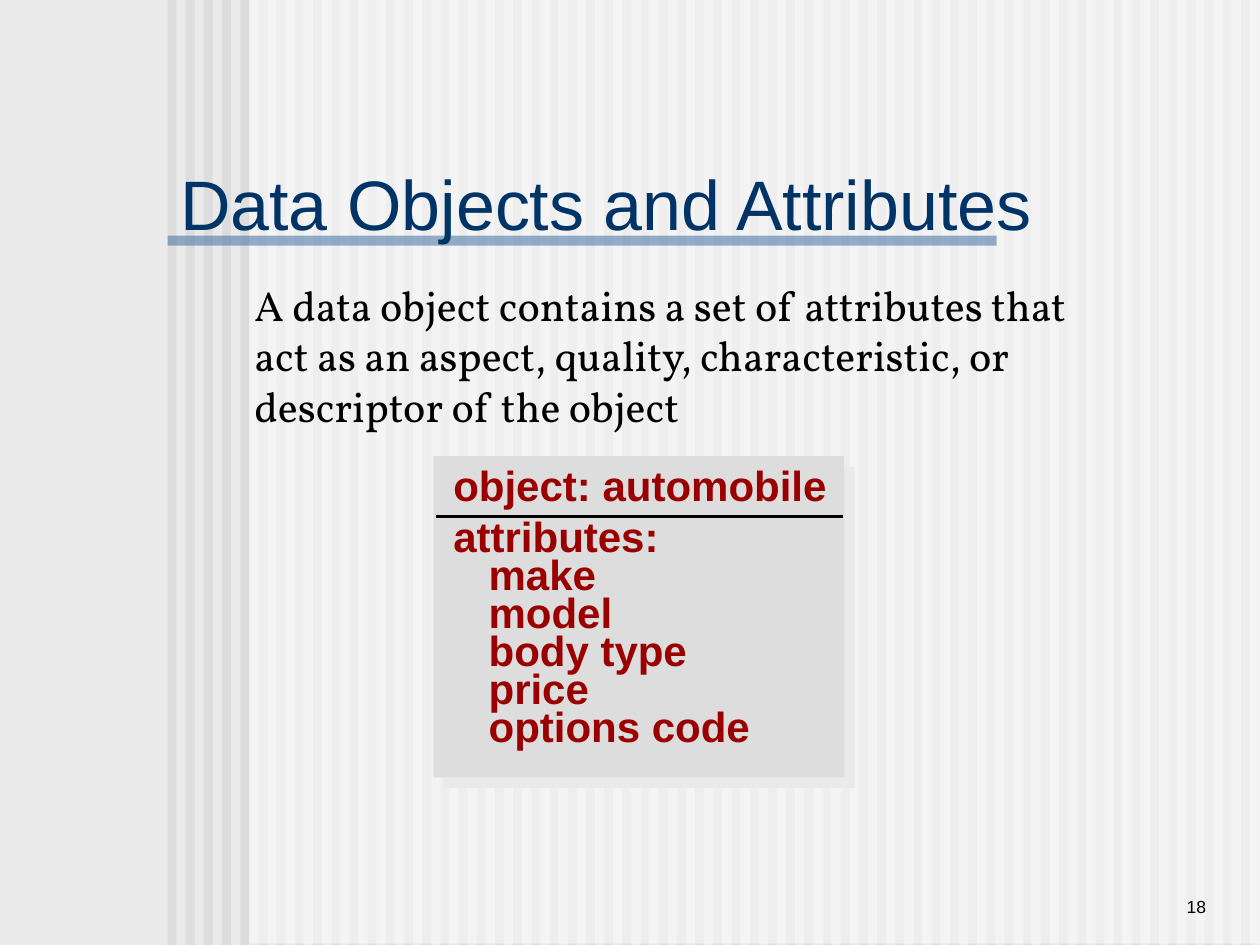
from lxml.etree import SubElement as Sub
from pptx import Presentation
from pptx.dml.color import RGBColor as RGB
from pptx.enum.shapes import MSO_CONNECTOR as Conn, MSO_SHAPE as Kind
from pptx.enum.text import MSO_ANCHOR as Anchor, MSO_AUTO_SIZE as Fit, PP_ALIGN as Align
from pptx.oxml.ns import qn
from pptx.util import Inches, Pt

STRIPES = 60
FIRST, LAST = 1.33, 9.85
ITEMS = ["make", "model", "body type", "price", "options code"]


def paint(fmt, color, alpha=None):
    """Give a fill a solid colour, with opacity in percent if wanted."""
    fmt.solid()
    fmt.fore_color.rgb = RGB.from_string(color)
    if alpha is not None:
        clr = fmt._xPr.find(".//" + qn("a:srgbClr"))
        Sub(clr, qn("a:alpha"), val=str(alpha * 1000))


def add_rect(slide, box, color, alpha=None):
    rect = slide.shapes.add_shape(Kind.RECTANGLE, *map(Inches, box))
    rect.shadow.inherit = False
    paint(rect.fill, color, alpha)
    rect.line.fill.background()
    return rect


def add_shade(shape, color, dist, angle):
    effects = shape._element.spPr.find(qn("a:effectLst"))
    shade = Sub(effects, qn("a:outerShdw"), dist=str(Pt(dist)),
                dir=str(angle * 60000), algn="ctr", rotWithShape="0")
    Sub(shade, qn("a:srgbClr"), val=color)


def add_line(slide, start, end, color, width):
    ends = map(Inches, start + end)
    line = slide.shapes.add_connector(Conn.STRAIGHT, *ends)
    line.line.width = Pt(width)
    paint(line.line.fill, color)
    Sub(line._element.spPr, qn("a:effectLst"))


def style(frame, size, font, color, bold=False, align=Align.LEFT):
    for para in frame.paragraphs:
        para.alignment = align
        for run in para.runs:
            run.font.size = Pt(size)
            run.font.name = font
            run.font.bold = bold
            paint(run.font.fill, color)


def add_text(slide, box, text, wrap=True):
    frame = slide.shapes.add_textbox(*map(Inches, box)).text_frame
    frame.word_wrap = wrap
    frame.text = text
    return frame


def add_back(slide):
    paint(slide.background.fill, "EAEAEA")
    step = (LAST - FIRST) / (STRIPES - 1)
    for i in range(STRIPES):
        add_rect(slide, (FIRST + i * step, 0, 0.07, 7.5), "DDDDDD")
    add_rect(slide, (1.98, -0.01, 8.02, 7.5), "FFFFFF", 50)
    add_rect(slide, (FIRST, 1.87, 6.58, 0.08), "336699", 50)


def set_title(slide, text):
    title = slide.shapes.title
    title.left, title.top, title.width, title.height = map(
        Inches, (1.33, 1.25, 7.08, 0.72))
    frame = title.text_frame
    frame.text = text
    frame.auto_size = Fit.NONE
    frame.vertical_anchor = Anchor.MIDDLE
    style(frame, 40, "Arial", "003366")
    # Bring the title in front of the stripes
    slide.shapes._spTree.append(title._element)


def add_card(slide):
    card = add_rect(slide, (3.44, 3.62, 3.26, 2.55), "DDDDDD")
    add_shade(card, "EAEAEA", 8.5, 45)
    lines = ["object: automobile", "attributes:"] + ITEMS
    frame = add_text(slide, (3.5, 3.6, 3.16, 2.4), "\n".join(lines), wrap=False)
    style(frame, 24, "Arial", "9A0000", bold=True)
    for para in frame.paragraphs[2:]:
        para.line_spacing = 0.75
        para._p.get_or_add_pPr().set("marL", str(Inches(0.28)))
    add_line(slide, (3.46, 4.1), (6.69, 4.1), "000000", 2)


def main():
    prs = Presentation()
    prs.slide_width, prs.slide_height = Inches(10), Inches(7.5)
    slide = prs.slides.add_slide(prs.slide_layouts[5])

    # Backdrop and title
    add_back(slide)
    set_title(slide, "Data Objects and Attributes")

    # Definition
    body = add_text(slide, (1.92, 2.17, 6.93, 1.3),
                    "A data object contains a set of attributes that act as an "
                    "aspect, quality, characteristic, or descriptor of the object")
    style(body, 24, "Vollkorn", "000000")
    body.paragraphs[0].space_before = Pt(15)

    # Example object
    add_card(slide)

    # Page number
    page = add_text(slide, (8.25, 6.83, 1.42, 0.5), "18")
    page.vertical_anchor = Anchor.BOTTOM
    style(page, 10, "Arial", "000000", align=Align.RIGHT)

    prs.save("out.pptx")


if __name__ == "__main__":
    main()
